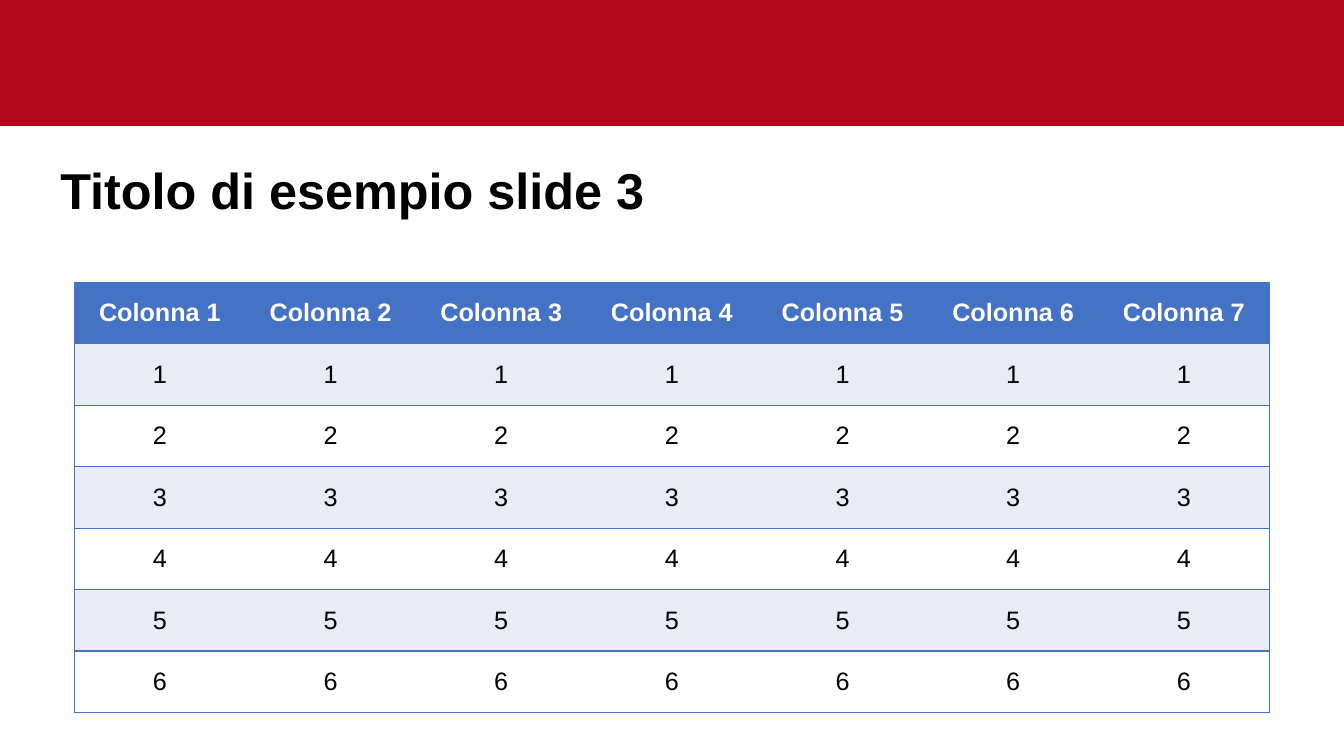
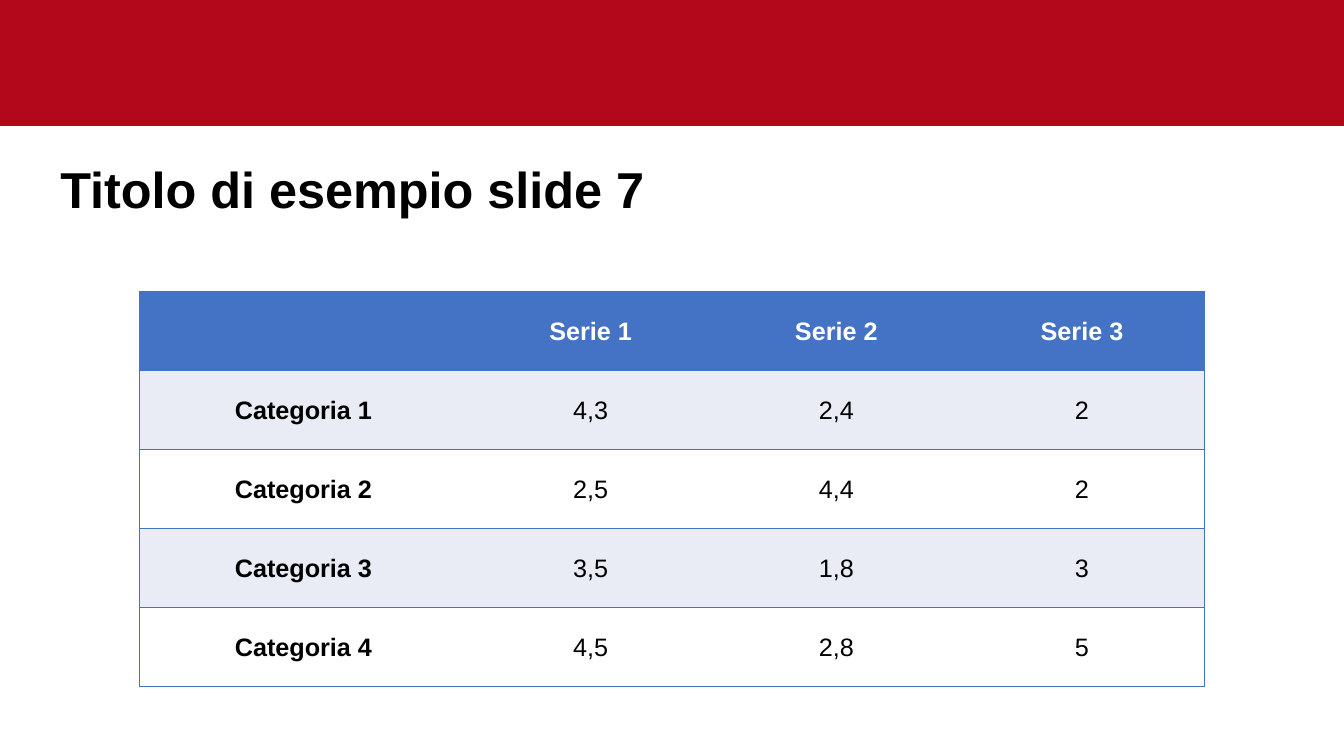
"""Build two slides, each with a red band, a title and a banded table."""
from lxml import etree
from pptx import Presentation
from pptx.dml.color import RGBColor
from pptx.enum.shapes import MSO_SHAPE
from pptx.enum.text import MSO_ANCHOR, PP_ALIGN
from pptx.oxml.ns import qn
from pptx.util import Inches, Pt

RECTANGLE = MSO_SHAPE.RECTANGLE
MIDDLE = MSO_ANCHOR.MIDDLE
LEFT, CENTER = PP_ALIGN.LEFT, PP_ALIGN.CENTER

FONT = "Arial"
COLORS = {
    "band": "B3071B",
    "header": "4472C4",
    "stripe": "E9EBF5",
    "white": "FFFFFF",
    "black": "000000",
}
SLIDE_WIDTH, SLIDE_HEIGHT = 13.33, 7.5

SLIDES = [
    {
        "title": "Titolo di esempio slide 3",
        "title_top": 1.27,
        "rows": [[f"Colonna {n}" for n in range(1, 8)]]
        + [[str(n)] * 7 for n in range(1, 7)],
        "box": (0.74, 2.8, 11.85, 4.27),
        "first_width": 11.85 / 7,
        "margins": (0.1, 0.05, 0.1, 0.05),
        "bold_labels": False,
    },
    {
        "title": "Titolo di esempio slide 7",
        "title_top": 1.26,
        "rows": [
            ["", "Serie 1", "Serie 2", "Serie 3"],
            ["Categoria 1", "4,3", "2,4", "2"],
            ["Categoria 2", "2,5", "4,4", "2"],
            ["Categoria 3", "3,5", "1,8", "3"],
            ["Categoria 4", "4,5", "2,8", "5"],
        ],
        "box": (1.38, 2.89, 10.57, 3.92),
        "first_width": 3.26,
        "margins": (0, 0.01, 0, 0),
        "bold_labels": True,
    },
]


def rgb(name):
    return RGBColor.from_string(COLORS[name])


def write(paragraph, text, size, color, bold, align):
    paragraph.alignment = align
    if text:
        run = paragraph.add_run()
        run.text = text
        run.font.name = FONT
        run.font.size = Pt(size)
        run.font.bold = bold
        run.font.color.rgb = rgb(color)


def add_band(slide):
    band = slide.shapes.add_shape(RECTANGLE, 0, 0, Inches(SLIDE_WIDTH), Inches(1.25))
    band.shadow.inherit = False
    band.fill.solid()
    band.fill.fore_color.rgb = rgb("band")
    band.line.fill.background()


def add_title(slide, text, top):
    title = slide.shapes.add_textbox(Inches(0.5), Inches(top), Inches(12.83), Inches(1.3))
    frame = title.text_frame
    frame.word_wrap = True
    frame.vertical_anchor = MIDDLE
    frame.paragraphs[0].line_spacing = 0.9
    write(frame.paragraphs[0], text, 36, "black", True, LEFT)


def set_borders(cell, visible):
    properties = cell._tc.get_or_add_tcPr()
    for side in "LRTB":
        line = etree.SubElement(properties, qn(f"a:ln{side}"), w=str(Pt(1)))
        if side in visible:
            fill = etree.SubElement(line, qn("a:solidFill"))
            etree.SubElement(fill, qn("a:srgbClr"), val=COLORS["header"])
        else:
            etree.SubElement(line, qn("a:noFill"))


def add_table(slide, rows, box, first_width, margins, bold_labels):
    row_count, column_count = len(rows), len(rows[0])
    width, height = box[2:]
    table = slide.shapes.add_table(row_count, column_count, *map(Inches, box)).table
    other_width = (width - first_width) / (column_count - 1)
    for c, column in enumerate(table.columns):
        column.width = Inches(other_width if c else first_width)
    for r, values in enumerate(rows):
        table.rows[r].height = Inches(height / row_count)
        fill = "header" if r == 0 else "stripe" if r % 2 else "white"
        for c, value in enumerate(values):
            cell = table.cell(r, c)
            sides = "TB" + ("L" if c == 0 else "") + ("R" if c == column_count - 1 else "")
            set_borders(cell, sides)
            cell.fill.solid()
            cell.fill.fore_color.rgb = rgb(fill)
            cell.vertical_anchor = MIDDLE
            (cell.margin_left, cell.margin_top,
             cell.margin_right, cell.margin_bottom) = map(Inches, margins)
            bold = r == 0 or (bold_labels and c == 0)
            color = "black" if r else "white"
            write(cell.text_frame.paragraphs[0], value, 18, color, bold, CENTER)


def main():
    deck = Presentation()
    deck.slide_width, deck.slide_height = Inches(SLIDE_WIDTH), Inches(SLIDE_HEIGHT)
    for content in SLIDES:
        slide = deck.slides.add_slide(deck.slide_layouts[6])
        add_band(slide)
        add_title(slide, content["title"], content["title_top"])
        add_table(slide, content["rows"], content["box"], content["first_width"],
                  content["margins"], content["bold_labels"])
    deck.save("out.pptx")


if __name__ == "__main__":
    main()
